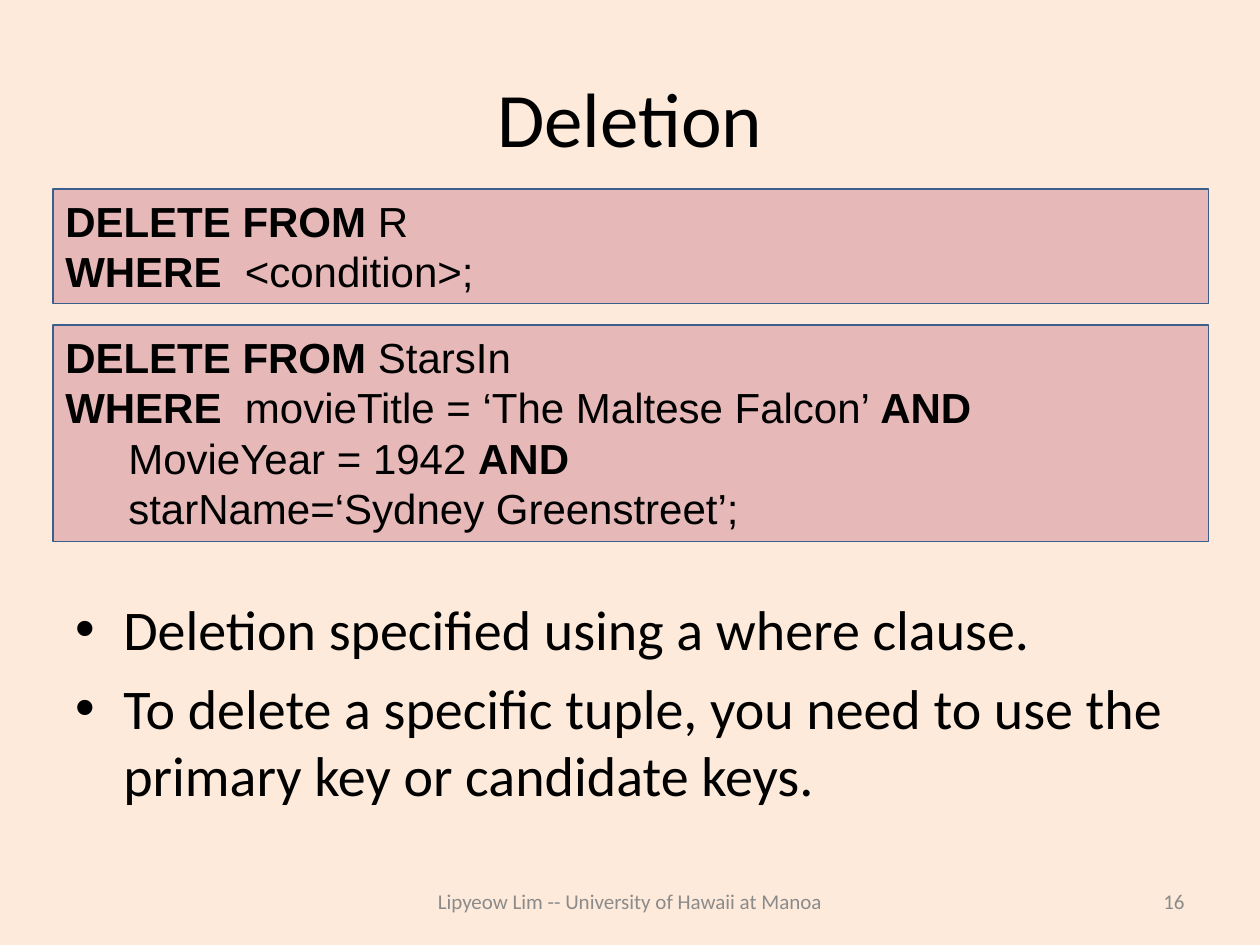
from pptx import Presentation
from pptx.dml.color import RGBColor
from pptx.enum.shapes import MSO_SHAPE
from pptx.enum.text import MSO_ANCHOR, PP_ALIGN
from pptx.oxml.ns import qn
from pptx.util import Inches, Pt
from lxml import etree

RECTANGLE = MSO_SHAPE.RECTANGLE
TOP, MIDDLE = MSO_ANCHOR.TOP, MSO_ANCHOR.MIDDLE
LEFT, CENTER, RIGHT = PP_ALIGN.LEFT, PP_ALIGN.CENTER, PP_ALIGN.RIGHT

CREAM = RGBColor(0xFD, 0xEA, 0xDA)
PINK = RGBColor(0xE6, 0xB9, 0xB8)
BLUE = RGBColor(0x3A, 0x5F, 0x8C)
BLACK = RGBColor(0, 0, 0)
GRAY = RGBColor(0x8B, 0x8B, 0x8B)

SYNTAX = [
    [("DELETE FROM ", True), ("R", False)],
    [("WHERE", True), ("  <condition>;", False)],
]
EXAMPLE = [
    [("DELETE FROM ", True), ("StarsIn", False)],
    [("WHERE  ", True), ("movieTitle = ‘The Maltese Falcon’ ", False), ("AND", True)],
    [("\tMovieYear = 1942 ", False), ("AND", True)],
    [("\tstarName=‘Sydney Greenstreet’;", False)],
]
POINTS = [
    "Deletion specified using a where clause.",
    "To delete a specific tuple, you need to use the primary key or candidate keys.",
]


class SlideBuilder:
    """Holds the style and the current slide, and adds each kind of element."""

    text_font = "Calibri"
    code_font = "Arial"

    def __init__(self, deck):
        self.page = deck.slides.add_slide(deck.slide_layouts[5])
        self.page.background.fill.solid()
        self.page.background.fill.fore_color.rgb = CREAM

    def style(self, para, name, size, color, align=LEFT):
        para.alignment = align
        para.font.name = name
        para.font.size = Pt(size)
        para.font.color.rgb = color

    def title(self, text, left, top, width, height):
        box = self.page.shapes.title
        box.left, box.top = Inches(left), Inches(top)
        box.width, box.height = Inches(width), Inches(height)
        box.text_frame.text = text
        box.text_frame.vertical_anchor = MIDDLE
        self.style(box.text_frame.paragraphs[0], self.text_font, 44, BLACK, CENTER)

    def text_box(self, left, top, width, height, anchor):
        box = self.page.shapes.add_textbox(
            Inches(left), Inches(top), Inches(width), Inches(height))
        box.text_frame.word_wrap = True
        box.text_frame.vertical_anchor = anchor
        return box.text_frame

    def label(self, text, left, width, align):
        frame = self.text_box(left, 6.95, width, 0.4, MIDDLE)
        frame.text = text
        self.style(frame.paragraphs[0], self.text_font, 12, GRAY, align)

    def code(self, lines, top, height):
        box = self.page.shapes.add_shape(
            RECTANGLE, Inches(0.42), Inches(top), Inches(9.17), Inches(height))
        box.shadow.inherit = False
        box.fill.solid()
        box.fill.fore_color.rgb = PINK
        box.line.color.rgb = BLUE
        box.line.width = Pt(0.75)
        frame = box.text_frame
        frame.word_wrap = True
        frame.vertical_anchor = TOP
        for index, line in enumerate(lines):
            para = frame.add_paragraph() if index else frame.paragraphs[0]
            for text, bold in line:
                span = para.add_run()
                span.text = text
                span.font.bold = bold
            self.style(para, self.code_font, 24, BLACK)

    def bullets(self, items, left, top, width, height):
        frame = self.text_box(left, top, width, height, TOP)
        for index, text in enumerate(items):
            para = frame.add_paragraph() if index else frame.paragraphs[0]
            para.text = text
            if index:
                para.space_before = Pt(6.4)
            properties = para._p.get_or_add_pPr()
            properties.set("marL", str(Inches(0.38)))
            properties.set("indent", str(-Inches(0.38)))
            etree.SubElement(properties, qn("a:buFont"), typeface="Arial")
            etree.SubElement(properties, qn("a:buChar"), char="•")
            self.style(para, self.text_font, 32, BLACK)


def main():
    deck = Presentation()
    deck.slide_width, deck.slide_height = Inches(10), Inches(7.5)
    slide = SlideBuilder(deck)
    slide.title("Deletion", 0.5, 0.3, 9, 1.25)
    slide.bullets(POINTS, 0.5, 4.67, 9.08, 1.87)
    slide.label("Lipyeow Lim -- University of Hawaii at Manoa", 3, 4, CENTER)
    slide.label("16", 7.17, 2.33, RIGHT)
    slide.code(SYNTAX, 1.5, 0.91)
    slide.code(EXAMPLE, 2.58, 1.72)
    deck.save("out.pptx")


if __name__ == "__main__":
    main()
